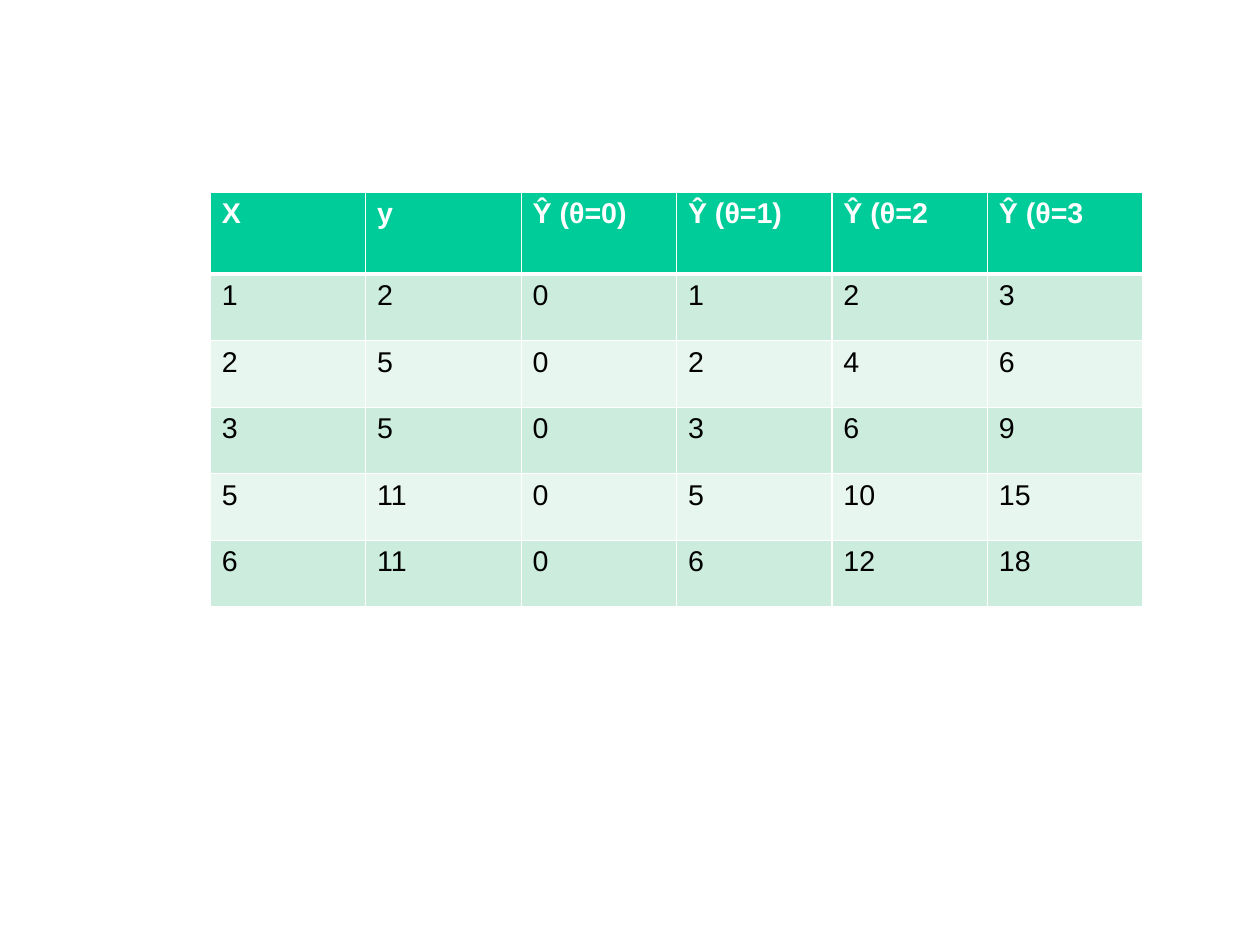
from dataclasses import dataclass

from lxml import etree
from pptx import Presentation
from pptx.dml import color
from pptx.oxml import ns
from pptx.table import _Cell
from pptx.util import Inches, Pt


@dataclass(frozen=True)
class Theme:
    font: str = "Arial"
    size: int = 18
    header: str = "00CC99"
    bands: tuple[str, str] = ("CCECDE", "E7F6EF")
    light: str = "FFFFFF"
    dark: str = "000000"
    thin: int = 1
    thick: int = 3


@dataclass(frozen=True)
class CellStyle:
    fill: str
    ink: str
    bold: bool
    top: int
    bottom: int


@dataclass(frozen=True)
class Sample:
    x: int
    y: int


THEME = Theme()
CM_PER_INCH = 2.54
HEADERS = ["X", "y", "Ŷ (θ=0)", "Ŷ (θ=1)", "Ŷ (θ=2", "Ŷ (θ=3"]
THETAS = range(4)
SAMPLES = [Sample(1, 2), Sample(2, 5), Sample(3, 5), Sample(5, 11), Sample(6, 11)]
TABLE_LEFT, TABLE_TOP, TABLE_WIDTH, TABLE_HEIGHT = 1.84, 1.68, 8.16, 3.63
HEADER_HEIGHT = 0.72
COLUMN_WIDTH = TABLE_WIDTH / len(HEADERS)
ROW_HEIGHT = (TABLE_HEIGHT - HEADER_HEIGHT) / len(SAMPLES)


def row_style(row: int) -> CellStyle:
    """Header style for row 0, alternating bands below it."""
    if row == 0:
        return CellStyle(THEME.header, THEME.light, True, THEME.thin, THEME.thick)
    top = THEME.thick if row == 1 else THEME.thin
    return CellStyle(THEME.bands[(row - 1) % 2], THEME.dark, False, top, THEME.thin)


def add_border(cell: _Cell, side: str, points: int) -> None:
    properties = cell._tc.get_or_add_tcPr()
    line = etree.SubElement(properties, ns.qn(f"a:ln{side}"), w=str(Pt(points)))
    fill = etree.SubElement(line, ns.qn("a:solidFill"))
    etree.SubElement(fill, ns.qn("a:srgbClr"), val=THEME.light)


def fill_cell(cell: _Cell, content: str, style: CellStyle) -> None:
    # Borders precede the fill in the cell properties
    widths = {"L": THEME.thin, "R": THEME.thin, "T": style.top, "B": style.bottom}
    for side, points in widths.items():
        add_border(cell, side, points)
    cell.fill.solid()
    cell.fill.fore_color.rgb = color.RGBColor.from_string(style.fill)

    cell.text_frame.text = content
    font = cell.text_frame.paragraphs[0].runs[0].font
    font.name, font.size, font.bold = THEME.font, Pt(THEME.size), style.bold
    font.color.rgb = color.RGBColor.from_string(style.ink)


def main() -> None:
    # Page of 28 by 21 cm
    deck = Presentation()
    deck.slide_width = Inches(28 / CM_PER_INCH)
    deck.slide_height = Inches(21 / CM_PER_INCH)
    page = deck.slides.add_slide(deck.slide_layouts[6])

    # Each prediction is theta times x
    rows = [HEADERS] + [
        [str(value) for value in (sample.x, sample.y, *(theta * sample.x for theta in THETAS))]
        for sample in SAMPLES
    ]

    # Prediction table
    table = page.shapes.add_table(
        len(rows), len(HEADERS),
        Inches(TABLE_LEFT), Inches(TABLE_TOP), Inches(TABLE_WIDTH), Inches(TABLE_HEIGHT),
    ).table
    for column in table.columns:
        column.width = Inches(COLUMN_WIDTH)
    for index, values in enumerate(rows):
        table.rows[index].height = Inches(ROW_HEIGHT if index else HEADER_HEIGHT)
        for position, content in enumerate(values):
            fill_cell(table.cell(index, position), content, row_style(index))

    deck.save("out.pptx")


if __name__ == "__main__":
    main()
